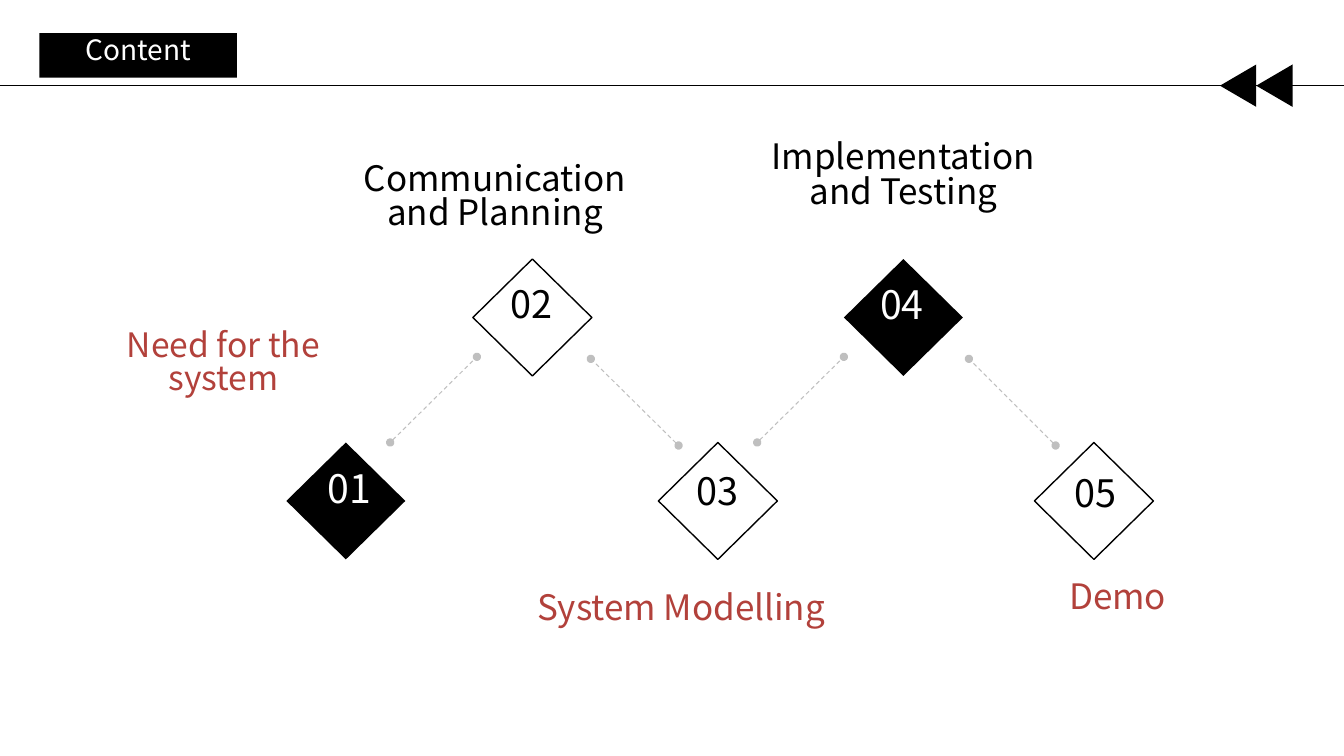
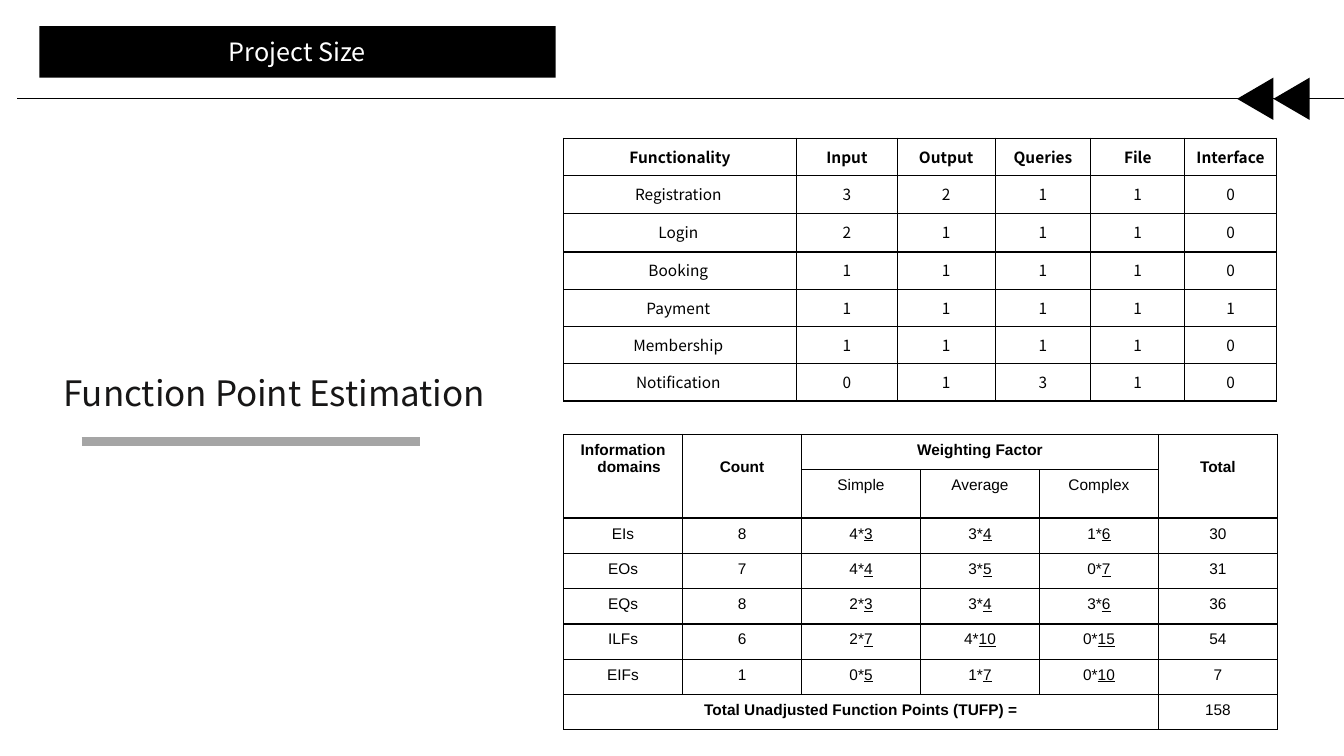
from lxml import etree
from pptx import Presentation
from pptx import util as u
from pptx.dml.color import RGBColor
from pptx.enum import dml, shapes, text
from pptx.oxml import ns

COLORS = {
    "black": "000000",
    "white": "FFFFFF",
    "red": "B2413B",
    "ink": "171616",
    "dots": "BFBFBF",
    "bar": "A5A5A5",
}
TITLE_FONT = "Noto Sans CJK SC"
GRID_FONT = "Noto Sans CJK KR"
WEIGHT_FONT = "Arial"
CENTER = text.PP_ALIGN.CENTER
LEFT = text.PP_ALIGN.LEFT
LABEL_SPACING = 0.83
DIAMOND_SIZE = (1.18, 1.16)
FRAME_FORMAT = {
    "word_wrap": True,
    "margin_left": u.Inches(0.1),
    "margin_right": u.Inches(0.1),
    "margin_top": u.Inches(0.05),
    "margin_bottom": u.Inches(0.05),
}
CELL_FORMAT = {
    "margin_left": u.Inches(0.07),
    "margin_right": u.Inches(0.07),
    "margin_top": u.Inches(0.07),
    "margin_bottom": u.Inches(0.07),
    "vertical_anchor": text.MSO_ANCHOR.TOP,
}
PLAIN_TABLE = {"first_row": False, "horz_banding": False}


def rgb(name):
    return RGBColor.from_string(COLORS[name])


def inches(*lengths):
    return [u.Inches(length) for length in lengths]


def apply_format(target, values):
    for name, value in values.items():
        setattr(target, name, value)


def add_run(paragraph, content, size, font, color, **extra):
    run = paragraph.add_run()
    run.text = content
    apply_format(run.font, {"size": u.Pt(size), "name": font, **extra})
    run.font.color.rgb = rgb(color)


def write_frame(frame, content, size, color, align=CENTER,
                anchor=text.MSO_ANCHOR.TOP, spacing=LABEL_SPACING):
    apply_format(frame, {**FRAME_FORMAT, "vertical_anchor": anchor})
    paragraph = frame.paragraphs[0]
    apply_format(paragraph, {"alignment": align, "line_spacing": spacing})
    add_run(paragraph, content, size, TITLE_FONT, color)


def add_label(slide, box, content, size, color, align=CENTER):
    shape = slide.shapes.add_textbox(*inches(*box))
    write_frame(shape.text_frame, content, size, color, align)


def add_block(slide, kind, box, fill="black", line=None):
    shape = slide.shapes.add_shape(kind, *inches(*box))
    shape.shadow.inherit = False
    if fill:
        shape.fill.solid()
        shape.fill.fore_color.rgb = rgb(fill)
    else:
        shape.fill.background()
    if line:
        shape.line.color.rgb = rgb(line)
        shape.line.width = u.Pt(1)
    else:
        shape.line.fill.background()
    return shape


def add_line(slide, start, end, color="black", width=0.75, dotted=False):
    line = slide.shapes.add_connector(
        shapes.MSO_CONNECTOR.STRAIGHT, *inches(*start, *end))
    line.line.color.rgb = rgb(color)
    line.line.width = u.Pt(width)
    if dotted:
        line.line.dash_style = dml.MSO_LINE.DASH
        outline = line.line._get_or_add_ln()
        for end_name in ("a:headEnd", "a:tailEnd"):
            etree.SubElement(outline, ns.qn(end_name), type="oval")
    etree.SubElement(line._element.spPr, ns.qn("a:effectLst"))


def add_header(slide, title, box, size, left=0, rule=0.85, **format_values):
    add_line(slide, (left, rule), (13.33, rule))
    for arrow_left in (12.43, 12.07):
        arrow = add_block(slide, shapes.MSO_SHAPE.ISOSCELES_TRIANGLE,
                          (left + arrow_left, rule - 0.18, 0.42, 0.36))
        arrow.rotation = 270
    band = add_block(slide, shapes.MSO_SHAPE.RECTANGLE, box)
    write_frame(band.text_frame, title, size, "white", **format_values)


def add_step(slide, corner, number, number_box, filled):
    add_block(slide, shapes.MSO_SHAPE.DIAMOND, (*corner, *DIAMOND_SIZE),
              fill="black" if filled else None,
              line=None if filled else "black")
    add_label(slide, number_box, number, 28 if filled else 27,
              "white" if filled else "black", LEFT if filled else CENTER)


def add_borders(cell):
    properties = cell._tc.get_or_add_tcPr()
    for position, side in enumerate(("a:lnL", "a:lnR", "a:lnT", "a:lnB")):
        border = etree.Element(ns.qn(side), w=str(u.Pt(1)))
        fill = etree.SubElement(border, ns.qn("a:solidFill"))
        etree.SubElement(fill, ns.qn("a:srgbClr"), val=COLORS["black"])
        properties.insert(position, border)


def write_cell(cell, content, font, bold):
    for index, line in enumerate(content.split("\n")):
        frame = cell.text_frame
        paragraph = frame.add_paragraph() if index else frame.paragraphs[0]
        paragraph.alignment = CENTER
        count, star, weight = line.partition("*")
        add_run(paragraph, count + star, 11, font, "black", bold=bold)
        if weight:
            add_run(paragraph, weight, 11, font, "black",
                    bold=bold, underline=True)


def add_grid(slide, corner, columns, heights, rows, font, bold_cells, merges=()):
    size = (sum(columns), sum(heights))
    frame = slide.shapes.add_table(
        len(rows), len(columns), *inches(*corner, *size))
    table = frame.table
    apply_format(table, PLAIN_TABLE)
    for column, width in zip(table.columns, columns):
        column.width = u.Inches(width)
    for row, height in zip(table.rows, heights):
        row.height = u.Inches(height)
    for first, last in merges:
        table.cell(*first).merge(table.cell(*last))
    for row_index, row in enumerate(rows):
        for column_index, content in enumerate(row):
            cell = table.cell(row_index, column_index)
            apply_format(cell, CELL_FORMAT)
            cell.fill.background()
            add_borders(cell)
            if content:
                write_cell(cell, content, font,
                           (row_index, column_index) in bold_cells)
    return table


def build_content(slide):
    for start, end in (
        ((3.87, 4.39), (4.73, 3.54)),
        ((6.73, 4.42), (5.86, 3.56)),
        ((7.51, 4.39), (8.37, 3.54)),
        ((10.47, 4.42), (9.61, 3.56)),
    ):
        add_line(slide, start, end, "dots", dotted=True)
    upper, lower = 2.57, 4.39
    for corner, number, number_box, filled in (
        ((2.84, lower), "01", (3.15, 4.64, 0.86, 0.57), True),
        ((4.69, upper), "02", (4.82, 2.81, 0.91, 0.56), False),
        ((6.53, lower), "03", (6.66, 4.67, 0.91, 0.56), False),
        ((8.37, upper), "04", (8.63, 2.81, 0.76, 0.57), True),
        ((10.26, lower), "05", (10.41, 4.69, 0.91, 0.56), False),
    ):
        add_step(slide, corner, number, number_box, filled)
    for box, content, size, color in (
        ((0.79, 3.23, 2.85, 0.91), "Need for the system", 24, "red"),
        ((3.21, 1.57, 3.4, 0.94), "Communication and Planning", 25, "black"),
        ((5.15, 5.83, 3.21, 0.52), "System Modelling", 25, "red"),
        ((7.26, 1.36, 3.4, 0.94), "Implementation and Testing", 25, "black"),
        ((9.48, 5.72, 3.21, 0.52), "Demo", 25, "red"),
    ):
        add_label(slide, box, content, size, color)
    add_header(slide, "Content", (0.39, 0.33, 1.96, 0.44), 20)


def build_project_size(slide):
    add_header(slide, "Project Size", (0.39, 0.26, 5.12, 0.51), 18,
               left=0.17, rule=0.98, anchor=text.MSO_ANCHOR.MIDDLE, spacing=1.0)
    functionality = [
        ("Functionality", "Input", "Output", "Queries", "File", "Interface"),
        ("Registration ", "3", "2", "1", "1", "0"),
        ("Login ", "2", "1", "1", "1", "0"),
        ("Booking ", "1", "1", "1", "1", "0"),
        ("Payment ", "1", "1", "1", "1", "1"),
        ("Membership ", "1", "1", "1", "1", "0"),
        ("Notification ", "0", "1", "3", "1", "0"),
    ]
    add_grid(slide, (5.59, 1.37), (2.31, 1, 0.97, 0.95, 0.93, 0.91),
             (0.37, 0.38, 0.38, 0.37, 0.37, 0.37, 0.37), functionality,
             GRID_FONT, {(0, column) for column in range(6)})
    weighting = [
        ("Information\ndomains", "Count", "Weighting Factor", "", "", "Total"),
        ("", "", "Simple", "Average", "Complex", ""),
        ("EIs", "8", "4*3", "3*4", "1*6", "30"),
        ("EOs", "7", "4*4", "3*5", "0*7", "31"),
        ("EQs", "8", "2*3", "3*4", "3*6", "36"),
        ("ILFs", "6", "2*7", "4*10", "0*15", "54"),
        ("EIFs", "1", "0*5", "1*7", "0*10", "7"),
        ("Total Unadjusted Function Points (TUFP) =", "", "", "", "", "158"),
    ]
    merges = [((0, column), (1, column)) for column in (0, 1, 5)]
    merges += [((0, 2), (0, 4)), ((7, 0), (7, 4))]
    table = add_grid(slide, (5.59, 4.31), [1.18] * 6,
                     [0.35, 0.48] + [0.35] * 6, weighting, WEIGHT_FONT,
                     {first for first, last in merges}, merges)
    for column in (1, 5):
        table.cell(0, column).margin_top = u.Inches(0.24)
    domains = table.cell(0, 0).text_frame.paragraphs[1]
    domains._p.get_or_add_pPr().set("marL", str(u.Inches(0.12)))
    add_label(slide, (0.39, 3.71, 4.66, 0.52),
              "Function Point Estimation", 25, "ink")
    add_line(slide, (0.81, 4.38), (4.17, 4.38), "bar", 6.25)


def main():
    presentation = Presentation()
    apply_format(presentation, {"slide_width": u.Inches(13.33),
                                "slide_height": u.Inches(7.5)})
    for build in (build_content, build_project_size):
        build(presentation.slides.add_slide(presentation.slide_layouts[6]))
    presentation.save("out.pptx")


if __name__ == "__main__":
    main()
